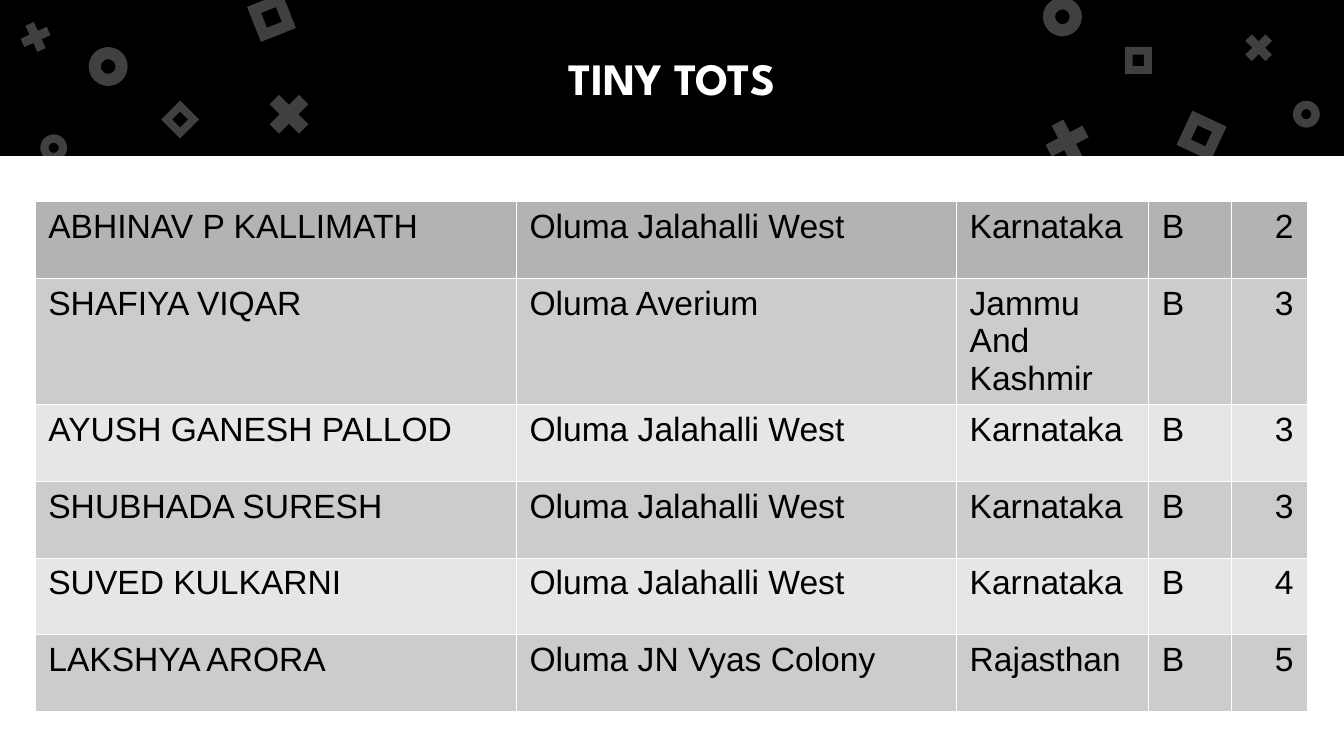
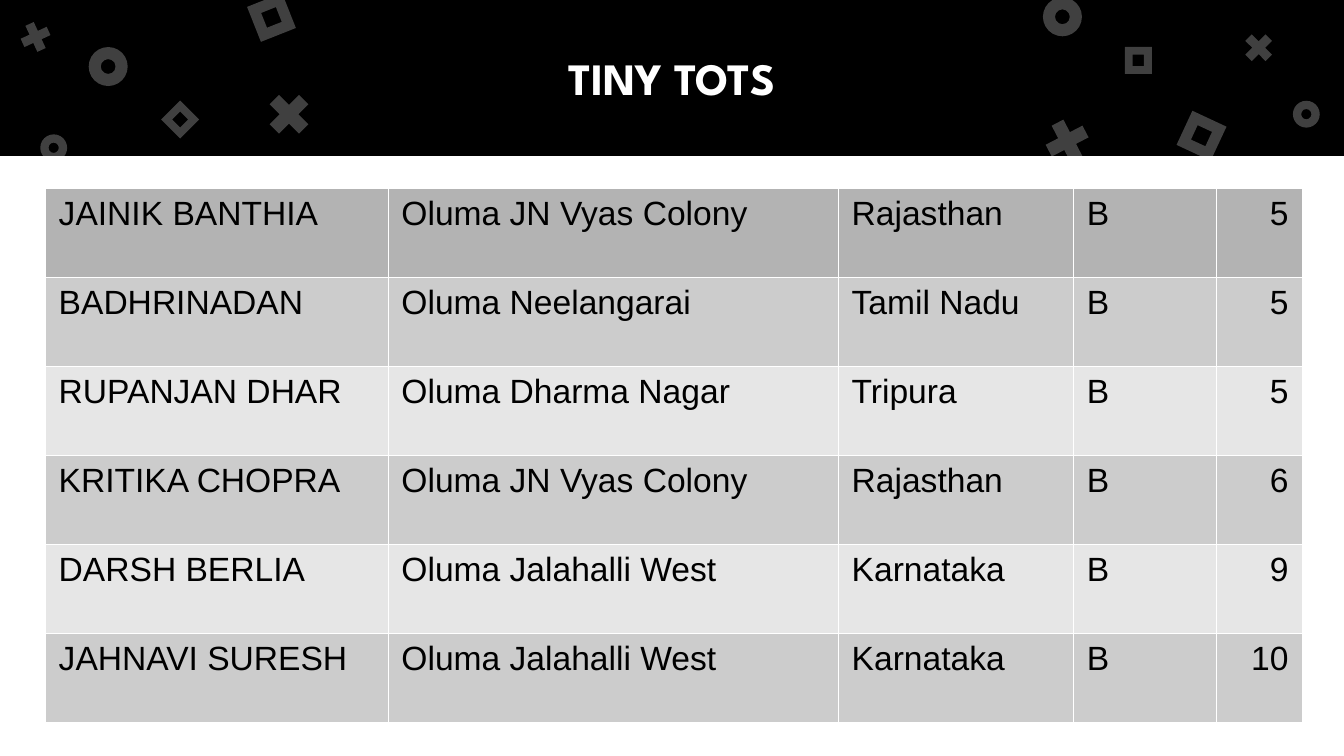
"""Build the two TINY TOTS result slides."""

from dataclasses import dataclass

from lxml import etree
from pptx import Presentation
from pptx.dml.color import RGBColor
from pptx.enum.shapes import MSO_SHAPE
from pptx.enum.text import MSO_ANCHOR, MSO_AUTO_SIZE, PP_ALIGN
from pptx.oxml.ns import qn
from pptx.util import Emu, Inches, Pt

DONUT, CROSS, FRAME = MSO_SHAPE.DONUT, MSO_SHAPE.MATH_MULTIPLY, MSO_SHAPE.FRAME
RECTANGLE = MSO_SHAPE.RECTANGLE
CENTER, LEFT, RIGHT = PP_ALIGN.CENTER, PP_ALIGN.LEFT, PP_ALIGN.RIGHT
MIDDLE, FIXED_SIZE = MSO_ANCHOR.MIDDLE, MSO_AUTO_SIZE.NONE

UNIT = Inches(0.1)
COLUMNS, ROWS, BAND_ROWS = 100, 56.25, 11.62
TITLE_ONLY = 5


@dataclass(frozen=True)
class Theme:
    """Colours, fonts and type sizes of the presentation."""

    background: str = "7BD100"
    band: str = "000000"
    light: str = "FFFFFF"
    text: str = "000000"
    first_row: str = "B3B3B3"
    row_fills: tuple[str, str] = ("E6E6E6", "CCCCCC")
    title_font: str = "League Spartan"
    body_font: str = "Arial"
    title_size: float = 24
    body_size: float = 18
    border_width: float = 0.06
    ornament_alpha: int = 25


@dataclass(frozen=True)
class Box:
    """A rectangle in grid units."""

    left: float
    top: float
    width: float
    height: float

    def lengths(self) -> tuple[Emu, Emu, Emu, Emu]:
        """Return the box as slide lengths."""
        return (grid(self.left), grid(self.top), grid(self.width), grid(self.height))


@dataclass(frozen=True)
class Ornament:
    """A translucent figure on the title band."""

    kind: MSO_SHAPE
    left: float
    top: float
    size: float
    rotation: float = 0


@dataclass(frozen=True)
class Results:
    """A results table with its place and grid."""

    left: float
    top: float
    column_widths: tuple[float, ...]
    row_heights: tuple[float, ...]
    rows: tuple[tuple[str, ...], ...]


THEME = Theme()
TITLE = "TINY TOTS"
TITLE_BOX = Box(5, 0, COLUMNS - 10, BAND_ROWS)
ADJUSTMENTS = {DONUT: 0.31, CROSS: 0.235, FRAME: 0.289}

ORNAMENTS = (
    Ornament(DONUT, 6.6, 3.5, 2.9),
    Ornament(CROSS, 19.4, 6.4, 4.2),
    Ornament(FRAME, 18.8, -0.1, 2.8, 338.4),
    Ornament(DONUT, 77.6, -0.2, 2.9),
    Ornament(CROSS, 77.3, 8.4, 4.2, 17.5),
    Ornament(FRAME, 88, 8.7, 2.8, 25),
    Ornament(DONUT, 3, 10, 2),
    Ornament(CROSS, 1.2, 1.3, 2.9, 20.4),
    Ornament(FRAME, 12.4, 7.9, 2, 45),
    Ornament(DONUT, 96.2, 7.5, 2),
    Ornament(CROSS, 92.2, 2.1, 2.9),
    Ornament(FRAME, 83.7, 3.5, 2),
)

RESULTS = (
    Results(
        2.6, 15, (35.8, 32.75, 14.3, 6.15, 5.65), (5.7, 9.4, 5.7, 5.7, 5.7, 5.7),
        (
            ("ABHINAV P KALLIMATH", "Oluma Jalahalli West", "Karnataka", "B", "2"),
            ("SHAFIYA VIQAR", "Oluma Averium", "Jammu And Kashmir", "B", "3"),
            ("AYUSH GANESH PALLOD", "Oluma Jalahalli West", "Karnataka", "B", "3"),
            ("SHUBHADA SURESH", "Oluma Jalahalli West", "Karnataka", "B", "3"),
            ("SUVED KULKARNI", "Oluma Jalahalli West", "Karnataka", "B", "4"),
            ("LAKSHYA ARORA", "Oluma JN Vyas Colony", "Rajasthan", "B", "5"),
        ),
    ),
    Results(
        3.37, 14, (25.5, 33.5, 17.5, 10.6, 6.4), (6.62,) * 6,
        (
            ("JAINIK BANTHIA", "Oluma JN Vyas Colony", "Rajasthan", "B", "5"),
            ("BADHRINADAN", "Oluma Neelangarai", "Tamil Nadu", "B", "5"),
            ("RUPANJAN DHAR", "Oluma Dharma Nagar", "Tripura", "B", "5"),
            ("KRITIKA CHOPRA", "Oluma JN Vyas Colony", "Rajasthan", "B", "6"),
            ("DARSH BERLIA", "Oluma Jalahalli West", "Karnataka", "B", "9"),
            ("JAHNAVI SURESH", "Oluma Jalahalli West", "Karnataka", "B", "10"),
        ),
    ),
)


def grid(units: float) -> Emu:
    """Convert grid units to a slide length."""
    return Emu(round(units * UNIT))


def colour(value: str) -> RGBColor:
    """Convert a hexadecimal colour."""
    return RGBColor.from_string(value)


def place(shape, box: Box) -> None:
    """Move and size a shape."""
    shape.left, shape.top, shape.width, shape.height = box.lengths()


def style_text(paragraph, font: str, size: float, fill: str, bold: bool, alignment: PP_ALIGN) -> None:
    """Format a paragraph and its runs."""
    paragraph.alignment = alignment
    for run in paragraph.runs:
        run.font.name = font
        run.font.size = Pt(size)
        run.font.bold = bold
        run.font.color.rgb = colour(fill)


def add_figure(slide, kind: MSO_SHAPE, box: Box, fill: str):
    """Add a plain filled shape without outline or shadow."""
    shape = slide.shapes.add_shape(kind, *box.lengths())
    shape.shadow.inherit = False
    shape.fill.solid()
    shape.fill.fore_color.rgb = colour(fill)
    shape.line.fill.background()
    return shape


def add_ornament(slide, ornament: Ornament):
    """Add one translucent ornament."""
    box = Box(ornament.left, ornament.top, ornament.size, ornament.size)
    shape = add_figure(slide, ornament.kind, box, THEME.light)
    shape.rotation = ornament.rotation
    shape.adjustments[0] = ADJUSTMENTS[ornament.kind]
    fill = shape.element.spPr.find(qn("a:solidFill"))
    etree.SubElement(fill[0], qn("a:alpha"), val=str(THEME.ornament_alpha * 1000))
    return shape


def decorate_layout(layout, slide) -> None:
    """Draw the shared backdrop on a slide and move it to the layout."""
    for placeholder in list(layout.placeholders):
        if placeholder.placeholder_format.idx == 0:
            place(placeholder, TITLE_BOX)
        else:
            layout.shapes.element.remove(placeholder.element)
    layout.background.fill.solid()
    layout.background.fill.fore_color.rgb = colour(THEME.background)
    body = Box(0, BAND_ROWS, COLUMNS, ROWS - BAND_ROWS)
    backdrop = [
        add_figure(slide, RECTANGLE, Box(0, 0, COLUMNS, BAND_ROWS), THEME.band),
        add_figure(slide, RECTANGLE, body, THEME.light),
    ]
    backdrop += [add_ornament(slide, ornament) for ornament in ORNAMENTS]
    for shape in backdrop:
        layout.shapes.element.append(shape.element)


def set_title(slide) -> None:
    """Place and format the slide title."""
    title = slide.shapes.title
    place(title, TITLE_BOX)
    frame = title.text_frame
    frame.text = TITLE
    frame.word_wrap = True
    frame.auto_size = FIXED_SIZE
    frame.vertical_anchor = MIDDLE
    frame.margin_left = frame.margin_right = grid(1)
    frame.margin_top = frame.margin_bottom = grid(1)
    style_text(frame.paragraphs[0], THEME.title_font, THEME.title_size, THEME.light, True, CENTER)


def add_borders(cell) -> None:
    """Give a cell thin borders on all sides."""
    properties = cell._tc.get_or_add_tcPr()
    for side in ("lnL", "lnR", "lnT", "lnB"):
        line = etree.SubElement(properties, qn(f"a:{side}"), w=str(Pt(THEME.border_width)))
        fill = etree.SubElement(line, qn("a:solidFill"))
        etree.SubElement(fill, qn("a:srgbClr"), val=THEME.light)


def fill_cell(cell, text: str, fill: str, alignment: PP_ALIGN) -> None:
    """Write and format one table cell."""
    cell.margin_left = cell.margin_right = grid(1)
    cell.margin_top = cell.margin_bottom = grid(0.5)
    add_borders(cell)
    cell.fill.solid()
    cell.fill.fore_color.rgb = colour(fill)
    cell.text_frame.text = text
    style_text(cell.text_frame.paragraphs[0], THEME.body_font, THEME.body_size, THEME.text, False, alignment)


def add_results(slide, results: Results) -> None:
    """Add a results table."""
    widths, heights = results.column_widths, results.row_heights
    box = Box(results.left, results.top, sum(widths), sum(heights))
    table = slide.shapes.add_table(len(heights), len(widths), *box.lengths()).table
    table.first_row = table.horz_banding = False
    for column, width in zip(table.columns, widths):
        column.width = grid(width)
    for row_index, (row, height) in enumerate(zip(table.rows, heights)):
        row.height = grid(height)
        fill = THEME.row_fills[row_index % 2] if row_index else THEME.first_row
        for column_index, text in enumerate(results.rows[row_index]):
            alignment = RIGHT if column_index == len(widths) - 1 else LEFT
            fill_cell(row.cells[column_index], text, fill, alignment)


def main() -> None:
    """Build and save the presentation."""
    presentation = Presentation()
    presentation.slide_width, presentation.slide_height = grid(COLUMNS), grid(ROWS)
    layout = presentation.slide_layouts[TITLE_ONLY]
    slides = [presentation.slides.add_slide(layout) for _ in RESULTS]
    decorate_layout(layout, slides[0])
    for slide, results in zip(slides, RESULTS):
        set_title(slide)
        add_results(slide, results)
    presentation.save("out.pptx")


if __name__ == "__main__":
    main()
